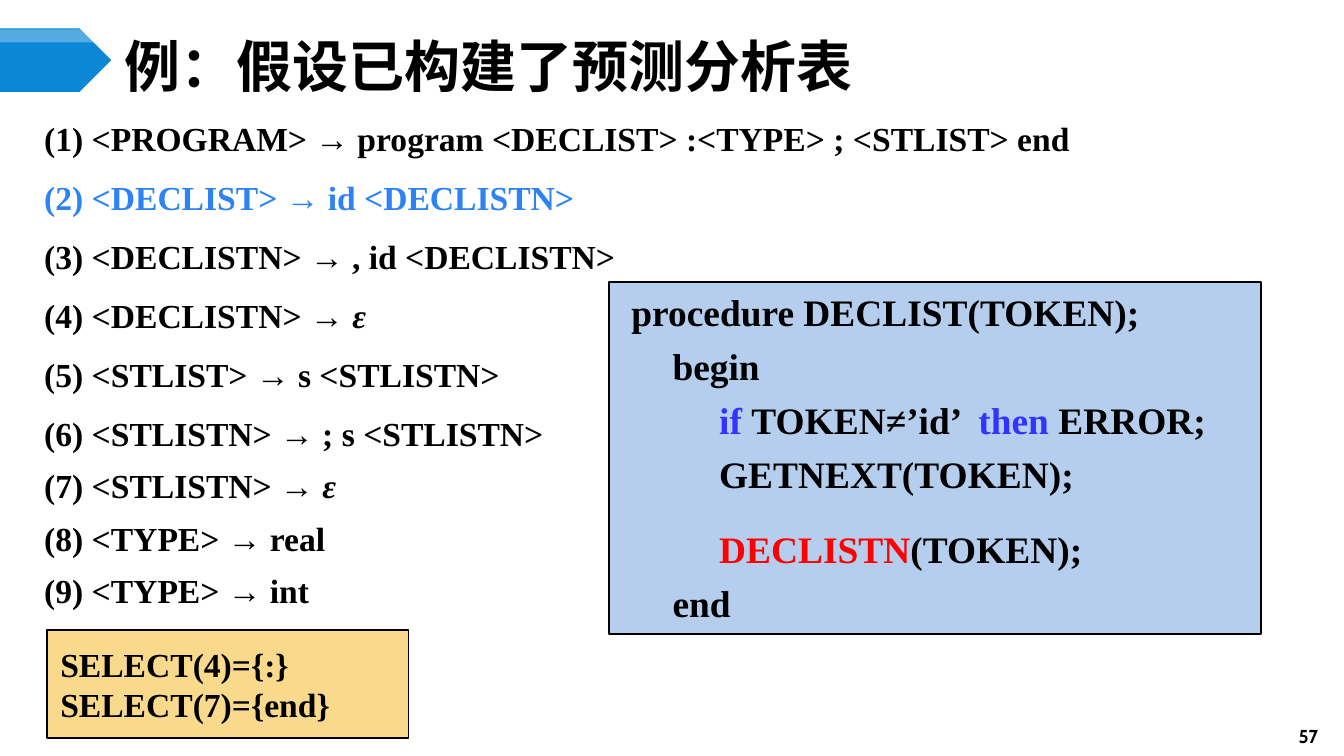
from pptx import Presentation
from pptx.dml.color import RGBColor
from pptx.enum import shapes, text
from pptx.oxml import parse_xml
from pptx.oxml.ns import nsdecls, qn
from pptx.util import Pt

SERIF = "Times New Roman"
BLACK, BLUE, KEYWORD, RED = "000000", "2D83F4", "3333FF", "FF0000"

RULES = [
    "<PROGRAM> → program <DECLIST> :<TYPE> ; <STLIST> end",
    "<DECLIST> → id <DECLISTN>",
    "<DECLISTN> → , id <DECLISTN>",
    "<DECLISTN> → ε",
    "<STLIST> → s <STLISTN>",
    "<STLISTN> → ; s <STLISTN>",
    "<STLISTN> → ε",
    "<TYPE> → real",
    "<TYPE> → int",
]
HIGHLIGHTED_RULE = 2
LAST_SPACED_RULE = 6

CODE = [
    (5, 0, [("procedure DECLIST(TOKEN);", BLACK)]),
    (27, 5, [("begin", BLACK)]),
    (52, 5, [("if ", KEYWORD), ("TOKEN≠’id’ ", BLACK),
             (" then ", KEYWORD), ("ERROR;", BLACK)]),
    (52, 5, [("GETNEXT(TOKEN);", BLACK)]),
    (52, 16, [("DECLISTN", RED), ("(TOKEN);", BLACK)]),
    (27, 5, [("end", BLACK)]),
]


def rgb(value):
    return RGBColor.from_string(value)


def apply(target, values):
    for name, value in values.items():
        setattr(target, name, value)


def add_text_box(slide, box, **frame):
    tf = slide.shapes.add_textbox(*map(Pt, box)).text_frame
    apply(tf, {"word_wrap": True, **frame})
    return tf


def add_panel(slide, box, kind, fill, line=None, **frame):
    sp = slide.shapes.add_shape(kind, *map(Pt, box))
    sp.shadow.inherit = False
    sp.fill.solid()
    sp.fill.fore_color.rgb = rgb(fill)
    if line:
        sp.line.color.rgb = rgb(line)
        sp.line.width = Pt(1)
    else:
        sp.line.fill.background()
    apply(sp.text_frame, {"word_wrap": True, **frame})
    return sp


def add_line(tf, first, align=text.PP_ALIGN.LEFT, indent=0, **spacing):
    p = tf.paragraphs[0] if first else tf.add_paragraph()
    apply(p, {"alignment": align, **spacing})
    if indent:
        p._p.get_or_add_pPr().set("marL", str(Pt(indent)))
    return p


def add_run(p, words, size, color=BLACK, font=SERIF, italic=False):
    r = p.add_run()
    r.text = words
    apply(r.font, {"name": font, "size": Pt(size), "bold": True, "italic": italic})
    r.font.color.rgb = rgb(color)
    r.font._element.append(
        parse_xml(f'<a:ea {nsdecls("a")} typeface="{font}"/>'))


def add_banner(slide, box):
    x, y, w, h = box
    pentagon = shapes.MSO_SHAPE.PENTAGON
    add_panel(slide, box, pentagon, "0B87D6")
    gloss = add_panel(slide, (x, y + 0.5, w, 7), pentagon, "FFFFFF")
    color = gloss._element.spPr.find(qn("a:solidFill"))[0]
    color.append(parse_xml(f'<a:alpha {nsdecls("a")} val="30000"/>'))


def add_title(slide, box):
    tf = add_text_box(slide, box, vertical_anchor=text.MSO_ANCHOR.MIDDLE,
                      margin_top=0, margin_bottom=0)
    add_run(add_line(tf, True), "例：假设已构建了预测分析表", 30, font="Noto Sans CJK SC")


def add_grammar(slide, box):
    tf = add_text_box(slide, box)
    for number, rule in enumerate(RULES, 1):
        spaced = 1 < number <= LAST_SPACED_RULE
        p = add_line(tf, number == 1, line_spacing=Pt(28),
                     space_before=Pt(3.6 if spaced else 0))
        color = BLUE if number == HIGHLIGHTED_RULE else BLACK
        body, epsilon, _ = rule.partition("ε")
        add_run(p, f"({number}) {body}", 18, color)
        if epsilon:
            add_run(p, epsilon, 18, color, italic=True)


def add_procedure(slide, box):
    sp = add_panel(slide, box, shapes.MSO_SHAPE.RECTANGLE, "B5CEED", BLACK,
                   vertical_anchor=text.MSO_ANCHOR.TOP)
    for i, (indent, gap, runs) in enumerate(CODE):
        p = add_line(sp.text_frame, i == 0, indent=indent, space_before=Pt(gap))
        for words, color in runs:
            add_run(p, words, 20, color)


def add_select_sets(slide, box):
    sp = add_panel(slide, box, shapes.MSO_SHAPE.RECTANGLE, "F9D98C", BLACK,
                   vertical_anchor=text.MSO_ANCHOR.MIDDLE)
    for i, words in enumerate(["SELECT(4)={:}", "SELECT(7)={end}"]):
        add_run(add_line(sp.text_frame, i == 0), words, 18)


def add_page_number(slide, box):
    tf = add_text_box(slide, box, vertical_anchor=text.MSO_ANCHOR.MIDDLE)
    add_run(add_line(tf, True, text.PP_ALIGN.CENTER), "57", 10, font="Cabin")


def main():
    prs = Presentation()
    prs.slide_width, prs.slide_height = Pt(720), Pt(405)
    s = prs.slides.add_slide(prs.slide_layouts[6])
    add_banner(s, (0, 15.2, 59.6, 34))
    add_grammar(s, (16.6, 53.3, 686, 281))
    add_procedure(s, (326.2, 151.2, 349.2, 188.6))
    add_title(s, (59.8, 20.9, 624, 28))
    add_page_number(s, (681.8, 383, 38.2, 22.3))
    add_select_sets(s, (25.2, 337.7, 193.7, 57.6))
    prs.save("out.pptx")


if __name__ == "__main__":
    main()
